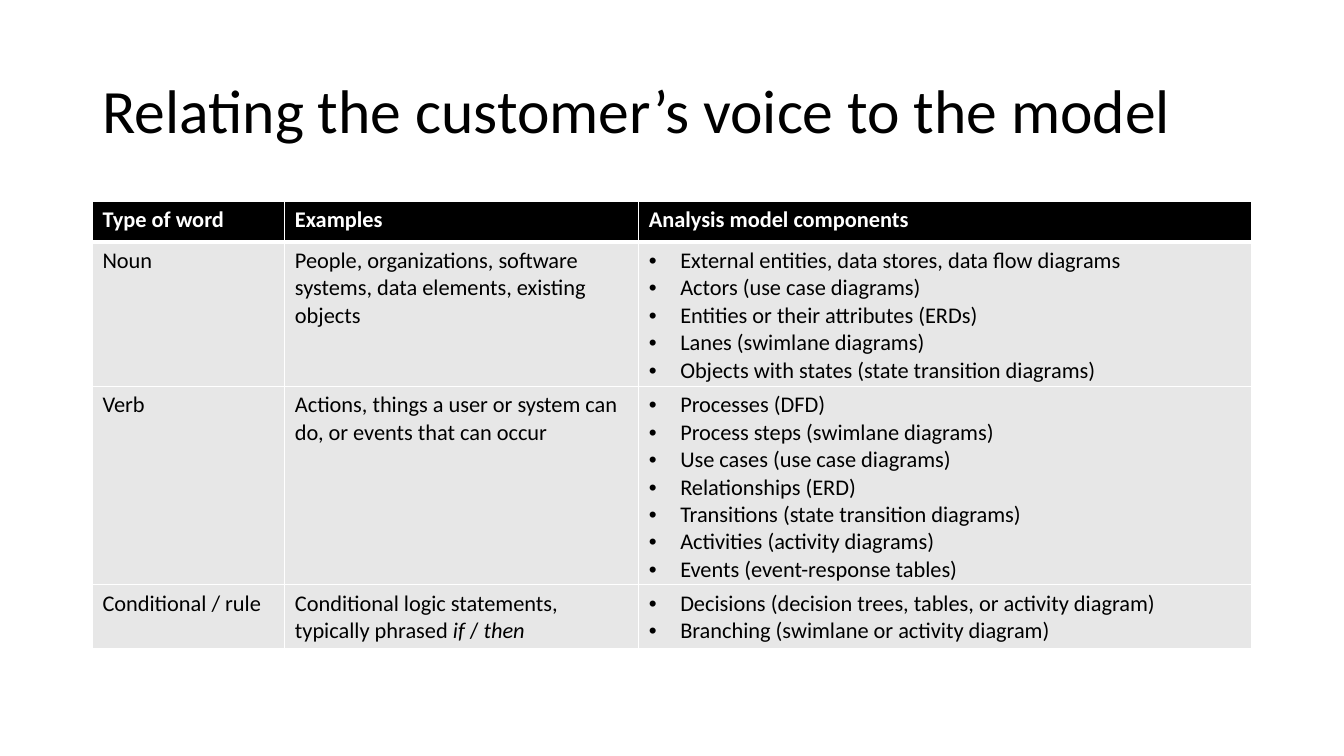
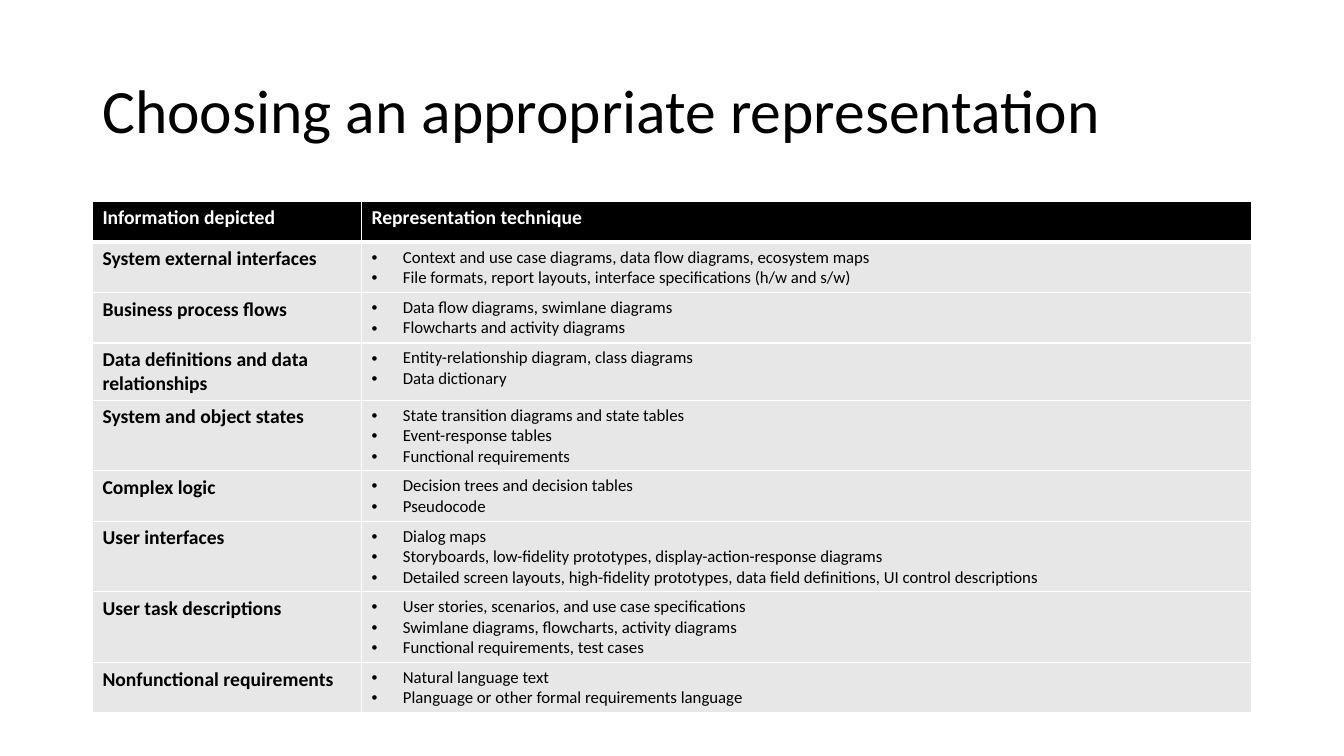
from pptx import Presentation
from pptx.dml.color import RGBColor as Rgb
from pptx.enum.text import MSO_ANCHOR as Anchor
from pptx.oxml.ns import qn
from pptx.util import Cm, Pt
from lxml.etree import SubElement as Sub

HUES = {"ink": "000000", "paper": "FFFFFF", "cell": "E7E7E7"}
FONT = "Calibri"
LEFT, WIDE = 2.33, 29.21
HEAD = (LEFT, 1.01, WIDE, 3.68)
GRID = (LEFT, 5.07, WIDE)
ROW = 1.03  # least row height; rows grow with their text
DENT = 0.79

# Each row holds one entry per column; a list becomes bullets, *stars* italics
WORDS = [
    ["Type of word", "Examples", "Analysis model components"],
    ["Noun",
     "People, organizations, software systems, data elements, existing objects",
     ["External entities, data stores, data flow diagrams",
      "Actors (use case diagrams)",
      "Entities or their attributes (ERDs)",
      "Lanes (swimlane diagrams)",
      "Objects with states (state transition diagrams)"]],
    ["Verb",
     "Actions, things a user or system can do, or events that can occur",
     ["Processes (DFD)",
      "Process steps (swimlane diagrams)",
      "Use cases (use case diagrams)",
      "Relationships (ERD)",
      "Transitions (state transition diagrams)",
      "Activities (activity diagrams)",
      "Events (event-response tables)"]],
    ["Conditional / rule",
     "Conditional logic statements, typically phrased *if* / *then*",
     ["Decisions (decision trees, tables, or activity diagram)",
      "Branching (swimlane or activity diagram)"]],
]
FORMS = [
    ["Information depicted", "Representation technique"],
    ["System external interfaces",
     ["Context and use case diagrams, data flow diagrams, ecosystem maps",
      "File formats, report layouts, interface specifications (h/w and s/w)"]],
    ["Business process flows",
     ["Data flow diagrams, swimlane diagrams",
      "Flowcharts and activity diagrams"]],
    ["Data definitions and data relationships",
     ["Entity-relationship diagram, class diagrams", "Data dictionary"]],
    ["System and object states",
     ["State transition diagrams and state tables",
      "Event-response tables",
      "Functional requirements"]],
    ["Complex logic",
     ["Decision trees and decision tables", "Pseudocode"]],
    ["User interfaces",
     ["Dialog maps",
      "Storyboards, low-fidelity prototypes, display-action-response diagrams",
      "Detailed screen layouts, high-fidelity prototypes, "
      "data field definitions, UI control descriptions"]],
    ["User task descriptions",
     ["User stories, scenarios, and use case specifications",
      "Swimlane diagrams, flowcharts, activity diagrams",
      "Functional requirements, test cases"]],
    ["Nonfunctional requirements",
     ["Natural language text",
      "Planguage or other formal requirements language"]],
]


def write(frame, text, size=16, hue="ink", bold=False, space=None):
    """Fill a text frame with one paragraph, or with a bulleted list."""
    dots = isinstance(text, list)
    for i, line in enumerate(text if dots else [text]):
        para = frame.add_paragraph() if i else frame.paragraphs[0]
        if space:
            para.line_spacing = space
        if dots:
            mark(para)
        for j, part in enumerate(line.split("*")):
            if not part:
                continue
            run = para.add_run()
            run.text = part
            font = run.font
            font.name, font.size, font.bold = FONT, Pt(size), bold
            font.italic = j % 2 == 1
            font.color.rgb = Rgb.from_string(HUES[hue])


def mark(para):
    """Give a paragraph a hanging bullet."""
    props = para._p.get_or_add_pPr()
    props.set("marL", str(Cm(DENT)))
    props.set("indent", str(-Cm(DENT)))
    Sub(props, qn("a:buFont"), typeface="Arial")
    Sub(props, qn("a:buChar"), char="•")


def edge(cell, **sides):
    """Rule the sides of a cell, widths in points."""
    props = cell._tc.get_or_add_tcPr()
    for side, width in sides.items():
        line = Sub(props, qn("a:ln" + side), w=str(Pt(width)))
        fill = Sub(line, qn("a:solidFill"))
        Sub(fill, qn("a:srgbClr"), val=HUES["paper"])


def title(slide, text, box):
    shape = slide.shapes.add_textbox(*map(Cm, box))
    frame = shape.text_frame
    frame.word_wrap = True
    frame.vertical_anchor = Anchor.MIDDLE
    write(frame, text, size=44, space=0.9)


def table(slide, rows, cols, box, top, first, rest):
    """Draw a grid; top, first and rest format header, column one, others."""
    left, head, wide = box
    grid = slide.shapes.add_table(
        len(rows), len(cols), Cm(left), Cm(head), Cm(wide),
        Cm(ROW * len(rows))).table
    grid.horz_banding = False
    for col, width in zip(grid.columns, cols):
        col.width = Cm(width)
    for r, row in enumerate(rows):
        grid.rows[r].height = Cm(ROW)
        for c, text in enumerate(row):
            cell = grid.cell(r, c)
            # Heavy rule between header and body
            edge(cell, L=1, R=1, T=3 if r == 1 else 1, B=1 if r else 3)
            cell.fill.solid()
            cell.fill.fore_color.rgb = Rgb.from_string(
                HUES["cell" if r else "ink"])
            look = top if r == 0 else rest if c else first
            write(cell.text_frame, text, **look)


def page(deck, text, rows, cols, **looks):
    slide = deck.slides.add_slide(deck.slide_layouts[6])
    title(slide, text, HEAD)
    table(slide, rows, cols, GRID, **looks)


def main():
    deck = Presentation()
    deck.slide_width, deck.slide_height = Cm(33.87), Cm(19.05)
    page(deck, "Relating the customer’s voice to the model",
         WORDS, (4.85, 8.92, 15.44),
         top={"hue": "paper", "bold": True}, first={}, rest={})
    page(deck, "Choosing an appropriate representation",
         FORMS, (6.78, 22.43),
         top={"size": 14, "hue": "paper", "bold": True},
         first={"size": 14, "bold": True}, rest={"size": 12})
    deck.save("out.pptx")


if __name__ == "__main__":
    main()
